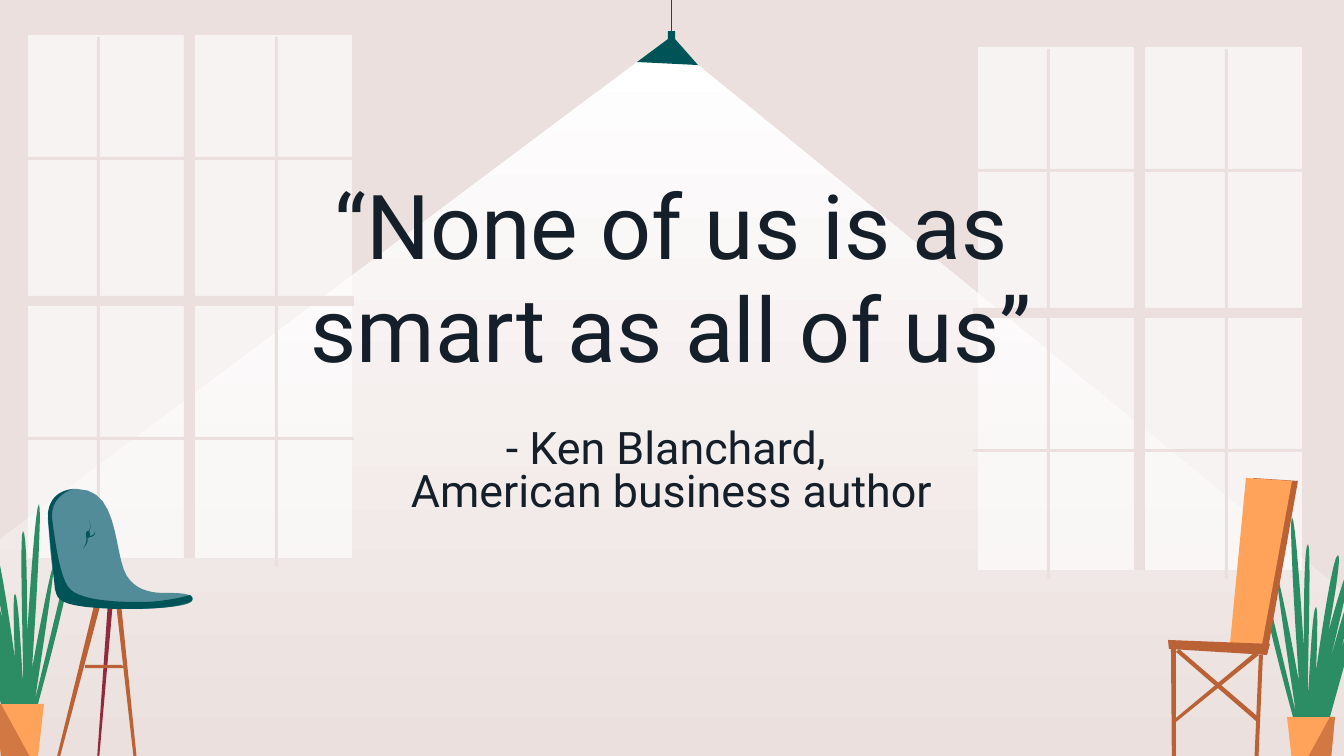
from dataclasses import dataclass

from lxml.etree import SubElement
from pptx import Presentation
from pptx.dml.color import RGBColor
from pptx.enum.shapes import MSO_CONNECTOR, MSO_SHAPE
from pptx.enum.text import MSO_ANCHOR, PP_ALIGN
from pptx.oxml.ns import qn
from pptx.util import Pt

EMU_PER_PX = 914400 / 134.4
CURVE_STEPS = 10

WALL, WHITE, INK = "EBE0DD", "FFFFFF", "151F29"
TEAL, PALE_TEAL, GREEN = "005458", "528C98", "2C8C64"
ORANGE, BROWN, RED = "FFA35A", "BA6136", "912A3C"


@dataclass(frozen=True)
class Outline:
    """Closed outline: 2 numbers are a corner, 6 a Bezier curve."""
    fill: str
    steps: list[tuple[int, ...]]
    alpha: int = 100


@dataclass(frozen=True)
class Bar:
    x: int
    y: int
    w: int
    h: int


@dataclass(frozen=True)
class Line:
    text: str
    size: int
    spacing: float
    before: int = 0


BEAM = Outline(WALL, [(645, 56), (-3, 542), (-3, 758), (1347, 759), (1347, 595), (680, 50)])
LAMP = Outline(TEAL, [(675, 31), (675, 39), (698, 65), (637, 62), (668, 39), (668, 31)])

# Window parts are measured from the top left corner of the glass.
GLASS = Bar(0, 0, 324, 523)
WINDOW_BARS = [
    *(Bar(x, 2, 3, 530) for x in (69, 247)),
    Bar(156, -7, 11, 530),
    *(Bar(-5, y, 331, 3) for y in (122, 402)),
    Bar(-5, 261, 331, 10),
]
WINDOWS = [(28, 35), (978, 47)]

PLANT = [
    Outline(ORANGE, [(-4, 704), (1, 757), (38, 757), (44, 704)]),
    Outline(GREEN, [
        (39, 504), (35, 504, 27, 637, 27, 637), (27, 637, 28, 532, 23, 531),
        (19, 531, 24, 677, 23, 679), (22, 679, 19, 594, 15, 594),
        (12, 594, 15, 659, 15, 659), (15, 659, -1, 542, -7, 542),
        (-12, 542, 3, 621, 3, 621), (3, 620, -15, 554, -19, 554),
        (-23, 554, 9, 680, 9, 680), (9, 680, -16, 578, -22, 578),
        (-24, 579, -17, 612, -9, 640), (-15, 621, -22, 603, -27, 603),
        (1, 704), (38, 704), (38, 704, 79, 555, 71, 551), (35, 700),
        (35, 700, 55, 570, 54, 564), (51, 564, 32, 669, 32, 669),
        (32, 669, 43, 507, 39, 504)]),
    Outline(BROWN, [(-4, 704), (1, 757), (30, 757), (1, 704)], alpha=65),
]
MIRROR_SUM, MIRROR_DROP = 1331, 13

STOOL = [
    Outline(RED, [(113, 602), (99, 761), (97, 761), (108, 603)]),
    Outline(BROWN, [(121, 603), (137, 761), (134, 761), (116, 603)]),
    Outline(BROWN, [(95, 602), (101, 603), (59, 761), (56, 761)]),
    Outline(BROWN, [(122, 665), (124, 668), (85, 668), (85, 665)]),
    Outline(PALE_TEAL, [
        (77, 489), (117, 489, 114, 544, 124, 570), (132, 591, 153, 593, 164, 593),
        (171, 593), (179, 593, 199, 594, 191, 602), (187, 606, 161, 609, 134, 609),
        (103, 609, 70, 606, 63, 599), (52, 589, 51, 555, 48, 521),
        (46, 491, 70, 489, 74, 489)]),
    Outline(TEAL, [
        (73, 489), (73, 489, 51, 495, 52, 517), (55, 540, 60, 581, 71, 590),
        (81, 599, 110, 602, 133, 602), (146, 602), (172, 601, 190, 595, 190, 595),
        (190, 595, 194, 598, 192, 601), (191, 602, 180, 609, 129, 609), (116, 609),
        (54, 607, 58, 598, 55, 589), (54, 578, 48, 524, 48, 513),
        (50, 501, 55, 492, 73, 489)]),
    Outline(TEAL, [
        (89, 520), (91, 524, 91, 530, 87, 533), (85, 536, 89, 540, 83, 549),
        (91, 540, 86, 537, 88, 534), (91, 530, 91, 524, 89, 520)]),
    Outline(TEAL, [
        (95, 531), (96, 536, 91, 538, 87, 537), (92, 536, 95, 535, 95, 531)]),
]
BUTTON = Bar(86, 531, 4, 7)

CHAIR = [
    Outline(BROWN, [(1253, 478), (1234, 649), (1267, 655), (1298, 481)]),
    Outline(ORANGE, [(1246, 478), (1230, 644), (1262, 645), (1292, 481)]),
    Outline(BROWN, [(1168, 640), (1169, 649), (1267, 655), (1270, 644)]),
    Outline(BROWN, [(1171, 649), (1172, 767), (1176, 767), (1176, 649)]),
    Outline(BROWN, [(1259, 655), (1254, 771), (1258, 771), (1263, 655)]),
    Outline(BROWN, [(1176, 652), (1179, 649), (1257, 716), (1257, 722)]),
    Outline(BROWN, [(1254, 653), (1259, 655), (1176, 722), (1176, 718)]),
]

QUOTE = [
    Line("“None of us is as smart as all of us”", 48, 0.96),
    Line("- Ken Blanchard, ", 24, 0.8, before=25),
    Line("American business author", 24, 0.8),
]


def px(value: float) -> int:
    return round(value * EMU_PER_PX)


def rgb(color: str) -> RGBColor:
    return RGBColor.from_string(color)


def paint(s, color: str, alpha: int = 100) -> None:
    s.shadow.inherit = False
    s.line.fill.background()
    s.fill.solid()
    s.fill.fore_color.rgb = rgb(color)
    if alpha < 100:
        clr = s.fill._xPr.find(qn("a:solidFill"))[0]
        SubElement(clr, qn("a:alpha"), val=str(alpha * 1000))


def flatten(steps: list[tuple[int, ...]]) -> list[tuple[float, float]]:
    """Turn corners and curves into one list of points."""
    points = [steps[0]]
    for step in steps[1:]:
        if len(step) == 2:
            points.append(step)
            continue
        ctrl = (points[-1], step[:2], step[2:4], step[4:])
        for i in range(1, CURVE_STEPS + 1):
            t = i / CURVE_STEPS
            weights = ((1 - t) ** 3, 3 * t * (1 - t) ** 2, 3 * t * t * (1 - t), t ** 3)
            points.append(tuple(sum(w * c[k] for w, c in zip(weights, ctrl)) for k in (0, 1)))
    return points


def draw_outline(sp, outline: Outline, mirrored: bool = False):
    points = flatten(outline.steps)
    if mirrored:
        points = [(MIRROR_SUM - x, y + MIRROR_DROP) for x, y in points]
    emu = [(px(x), px(y)) for x, y in points]
    builder = sp.build_freeform(*emu[0], scale=1.0)
    builder.add_line_segments(emu[1:], close=True)
    s = builder.convert_to_shape()
    paint(s, outline.fill, outline.alpha)
    return s


def draw_bar(sp, bar: Bar, color: str, alpha: int = 100, origin: tuple[int, int] = (0, 0),
             kind=MSO_SHAPE.RECTANGLE) -> None:
    s = sp.add_shape(kind, px(origin[0] + bar.x), px(origin[1] + bar.y), px(bar.w), px(bar.h))
    paint(s, color, alpha)


def draw_lamp(sp) -> None:
    beam = draw_outline(sp, BEAM)
    beam.fill.gradient()
    beam.fill.gradient_angle = 270
    for stop, color in zip(beam.fill.gradient_stops, (WHITE, WALL)):
        stop.color.rgb = rgb(color)
    draw_outline(sp, LAMP)
    cord = sp.add_connector(MSO_CONNECTOR.STRAIGHT, px(671), 0, px(671), px(31))
    cord.line.color.rgb = rgb(TEAL)
    cord.line.width = Pt(0.25)
    SubElement(cord._element.spPr, qn("a:effectLst"))


def draw_quote(sp) -> None:
    tf = sp.add_textbox(px(204), px(173), px(935), px(293)).text_frame
    tf.word_wrap = True
    tf.vertical_anchor = MSO_ANCHOR.TOP
    tf.margin_left = tf.margin_right = tf.margin_bottom = px(13)
    tf.margin_top = px(4)
    for i, line in enumerate(QUOTE):
        p = tf.add_paragraph() if i else tf.paragraphs[0]
        p.text = line.text
        p.alignment = PP_ALIGN.CENTER
        p.line_spacing = line.spacing
        p.space_before = Pt(line.before)
        p.font.name = "Roboto"
        p.font.size = Pt(line.size)
        p.font.color.rgb = rgb(INK)


def main() -> None:
    prs = Presentation()
    prs.slide_width, prs.slide_height = px(1344), px(756)
    slide = prs.slides.add_slide(prs.slide_layouts[6])
    slide.background.fill.solid()
    slide.background.fill.fore_color.rgb = rgb(WALL)
    sp = slide.shapes

    draw_lamp(sp)
    for origin in WINDOWS:
        draw_bar(sp, GLASS, WHITE, 62, origin)
        for bar in WINDOW_BARS:
            draw_bar(sp, bar, WALL, origin=origin)
    draw_quote(sp)
    for outline in PLANT + STOOL:
        draw_outline(sp, outline)
    draw_bar(sp, BUTTON, TEAL, kind=MSO_SHAPE.OVAL)
    for outline in PLANT:
        draw_outline(sp, outline, mirrored=True)
    for outline in CHAIR:
        draw_outline(sp, outline)
    prs.save("out.pptx")


if __name__ == "__main__":
    main()
